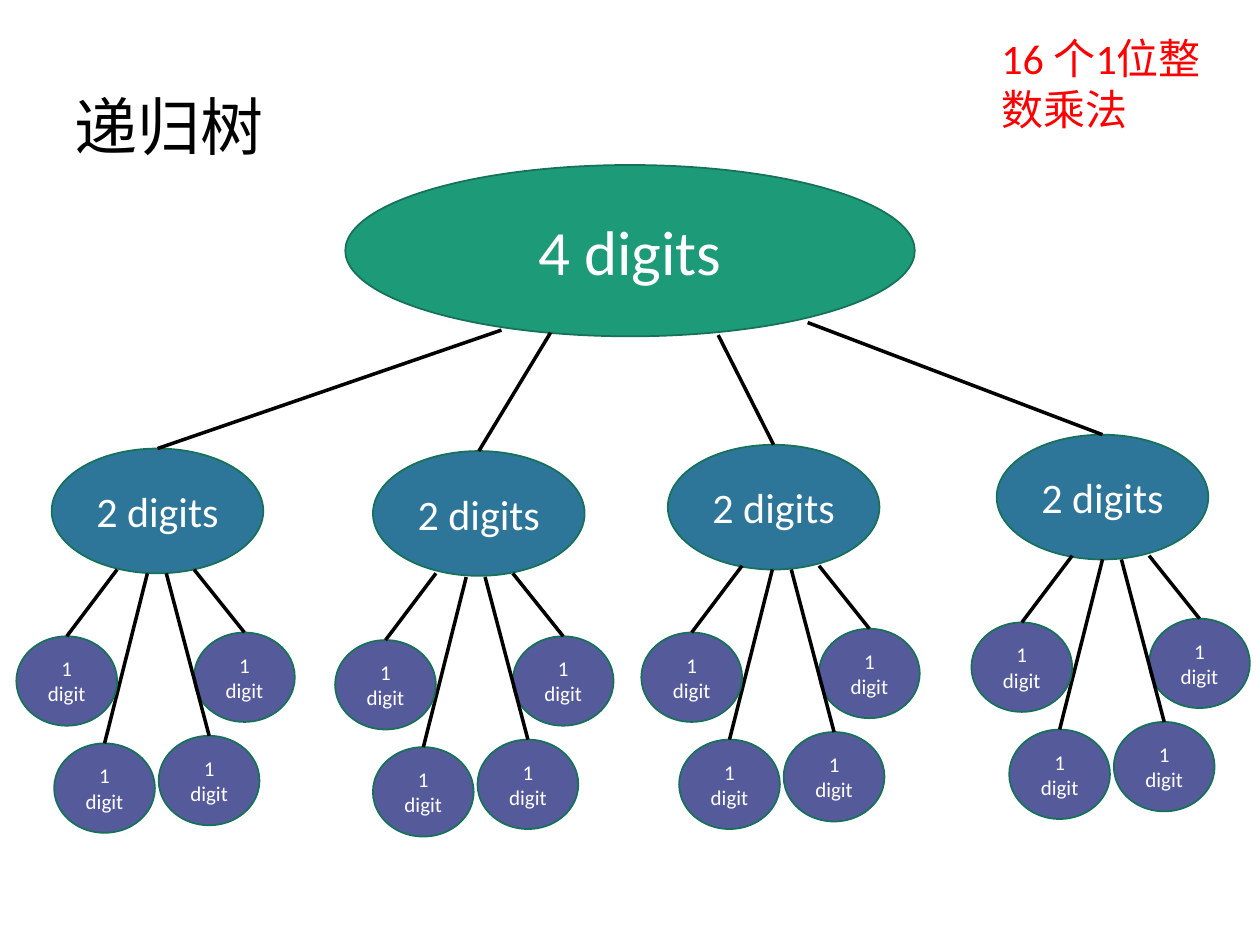
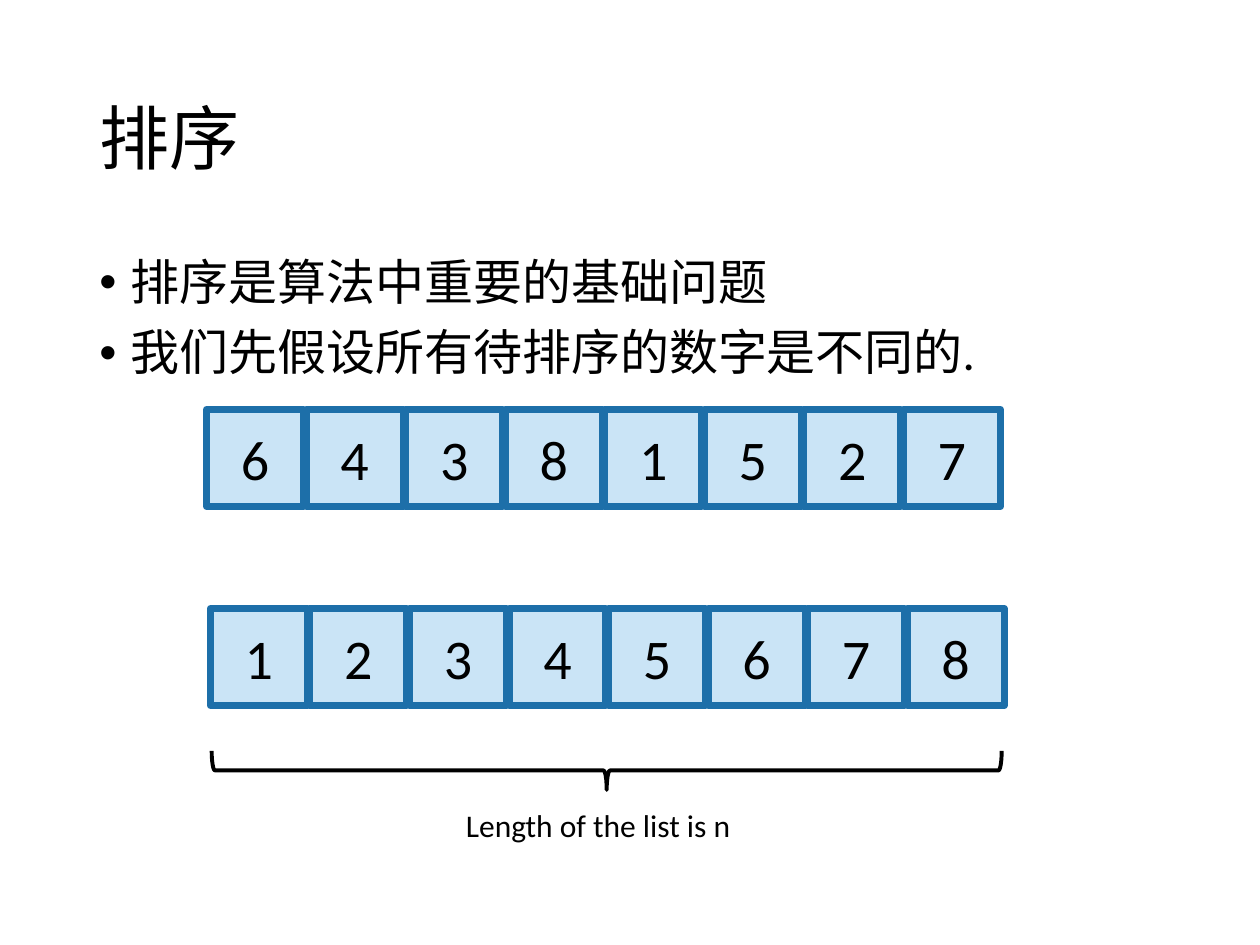
from dataclasses import dataclass

from lxml.etree import SubElement
from pptx import Presentation
from pptx.dml.color import RGBColor
from pptx.enum.shapes import MSO_CONNECTOR, MSO_SHAPE
from pptx.enum.text import MSO_ANCHOR, MSO_AUTO_SIZE, PP_ALIGN
from pptx.oxml.ns import qn
from pptx.util import Inches, Pt


@dataclass(frozen=True)
class Theme:
    font: str = "Calibri"
    ink: str = "000000"
    light: str = "FFFFFF"
    alert: str = "FF0000"
    root: str = "1D9A78"
    branch: str = "2E759A"
    leaf: str = "555B9A"
    node_edge: str = "157259"
    cell: str = "CAE4F6"
    cell_edge: str = "1D6FA9"
    size_title: int = 40
    size_tree: int = 36
    size_cell: int = 32
    size_body: int = 28
    size_branch: int = 24
    size_label: int = 18
    size_leaf: int = 12


THEME = Theme()
WIDTH, HEIGHT = Inches(10), Inches(7.5)
COLUMNS, ROWS = 10, 7.5

# Sizes and offsets in grid columns and rows
ROOT = (2.74, 1.31, 4.52, 1.36)
BRANCH_SIZE = (1.68, 0.99)
LEAF_SIZE = (0.8, 0.71)
ROOT_EXITS = [(3.98, 2.62), (4.37, 2.64), (5.7, 2.66), (6.41, 2.56)]
BRANCHES = [(0.41, 3.56), (2.96, 3.58), (5.3, 3.53), (7.91, 3.45)]
LEAF_ORIGINS = [(0.13, 5.05), (2.66, 5.08), (5.09, 5.02), (7.71, 4.94)]
# Each leaf and the start of its line, measured from the leftmost leaf
LEAVES = [
    ((1.41, -0.03), (1.41, -0.53)),
    ((1.13, 0.79), (1.19, -0.5)),
    ((0.3, 0.85), (1.04, -0.5)),
    ((0, 0), (0.8, -0.53)),
]
CELL_SIDE, CELL_STEP = 0.77, 0.79


def grid(column, row):
    return round(WIDTH * column / COLUMNS), round(HEIGHT * row / ROWS)


def area(left, top, width, height):
    return *grid(left, top), *grid(width, height)


def shift(origin, offset):
    return origin[0] + offset[0], origin[1] + offset[1]


def apply_format(target, values):
    for name, value in values.items():
        setattr(target, name, value)


# Text
def write(para, text, size, color, **layout):
    apply_format(para, layout)
    span = para.add_run()
    span.text = text
    apply_format(span.font, {"name": THEME.font, "size": Pt(size)})
    span.font.color.rgb = RGBColor.from_string(color)


def add_text(page, place, text, size, color=THEME.ink, frame=None, **layout):
    box = page.shapes.add_textbox(*area(*place))
    apply_format(box.text_frame, {"word_wrap": True, **(frame or {})})
    write(box.text_frame.paragraphs[0], text, size, color, **layout)


def add_title(page, left, top, text, size):
    add_text(page, (left, top, 8.62, 1.45), text, size,
             frame={"vertical_anchor": MSO_ANCHOR.MIDDLE}, line_spacing=0.9)


def add_label(page, place, text, size, color=THEME.ink):
    add_text(page, place, text, size, color,
             frame={"auto_size": MSO_AUTO_SIZE.SHAPE_TO_FIT_TEXT})


def add_bullets(page, place, lines):
    box = page.shapes.add_textbox(*area(*place))
    frame = box.text_frame
    frame.word_wrap = True
    for index, line in enumerate(lines):
        para = frame.add_paragraph() if index else frame.paragraphs[0]
        properties = para._p.get_or_add_pPr()
        properties.set("marL", str(Inches(0.25)))
        properties.set("indent", str(-Inches(0.25)))
        SubElement(properties, qn("a:buFont")).set("typeface", "Arial")
        SubElement(properties, qn("a:buChar")).set("char", "•")
        write(para, line, THEME.size_body, THEME.ink, line_spacing=0.9,
              space_before=Pt(10 if index else 0))


# Shapes
def add_outlined(shapes, kind, place, edge, weight, fill=None):
    shape = shapes.add_shape(kind, *area(*place))
    shape.shadow.inherit = False
    if fill:
        shape.fill.solid()
        shape.fill.fore_color.rgb = RGBColor.from_string(fill)
    else:
        shape.fill.background()
    shape.line.color.rgb = RGBColor.from_string(edge)
    shape.line.width = Pt(weight)
    return shape


def label_shape(shape, text, size, color):
    apply_format(shape.text_frame,
                 {"word_wrap": True, "vertical_anchor": MSO_ANCHOR.MIDDLE})
    write(shape.text_frame.paragraphs[0], text, size, color,
          alignment=PP_ALIGN.CENTER)


def add_node(page, place, text, size, fill):
    node = add_outlined(page.shapes, MSO_SHAPE.OVAL, place,
                        THEME.node_edge, 1, fill)
    label_shape(node, text, size, THEME.light)
    return node


def add_branch_line(page, start, child):
    begin = grid(*start)
    line = page.shapes.add_connector(MSO_CONNECTOR.STRAIGHT, *begin, *begin)
    line.end_connect(child, 0)
    line.line.color.rgb = RGBColor.from_string(THEME.ink)
    line.line.width = Pt(2)
    SubElement(line._element.spPr, qn("a:effectLst"))


def add_number_row(page, left, top, numbers):
    group = page.shapes.add_group_shape()
    for index, number in enumerate(numbers):
        place = (left + index * CELL_STEP, top, CELL_SIDE, CELL_SIDE)
        cell = add_outlined(group.shapes, MSO_SHAPE.RECTANGLE, place,
                            THEME.cell_edge, 4, THEME.cell)
        label_shape(cell, str(number), THEME.size_cell, THEME.ink)


# Slides
def build_recursion_tree(page):
    add_title(page, 0.49, 0.31, "递归树", THEME.size_tree)
    add_node(page, ROOT, "4 digits", THEME.size_tree, THEME.root)
    for root_exit, corner, origin in zip(ROOT_EXITS, BRANCHES, LEAF_ORIGINS):
        branch = add_node(page, (*corner, *BRANCH_SIZE), "2 digits",
                          THEME.size_branch, THEME.branch)
        add_branch_line(page, root_exit, branch)
        for offset, start in LEAVES:
            leaf = add_node(page, (*shift(origin, offset), *LEAF_SIZE),
                            "1 digit", THEME.size_leaf, THEME.leaf)
            add_branch_line(page, shift(origin, start), leaf)
    add_label(page, (7.85, 0.21, 2.07, 0.91), "16 个1位整数乘法",
              THEME.size_branch, THEME.alert)


def build_sorting(page):
    add_title(page, 0.69, 0.4, "排序", THEME.size_title)
    add_bullets(page, (0.69, 2, 8.62, 4.76), [
        "排序是算法中重要的基础问题",
        "我们先假设所有待排序的数字是不同的.",
    ])
    numbers = [6, 4, 3, 8, 1, 5, 2, 7]
    add_number_row(page, 1.64, 3.25, numbers)
    add_number_row(page, 1.67, 4.83, sorted(numbers))
    brace = add_outlined(page.shapes, MSO_SHAPE.RIGHT_BRACE,
                         (4.66, 2.98, 0.31, 6.27), THEME.ink, 2.25)
    brace.rotation = 90
    add_label(page, (3.6, 6.35, 2.67, 0.4), "Length of the list is n",
              THEME.size_label)


def main():
    deck = Presentation()
    apply_format(deck, {"slide_width": WIDTH, "slide_height": HEIGHT})
    for build in (build_recursion_tree, build_sorting):
        build(deck.slides.add_slide(deck.slide_layouts[6]))
    deck.save("out.pptx")


if __name__ == "__main__":
    main()
